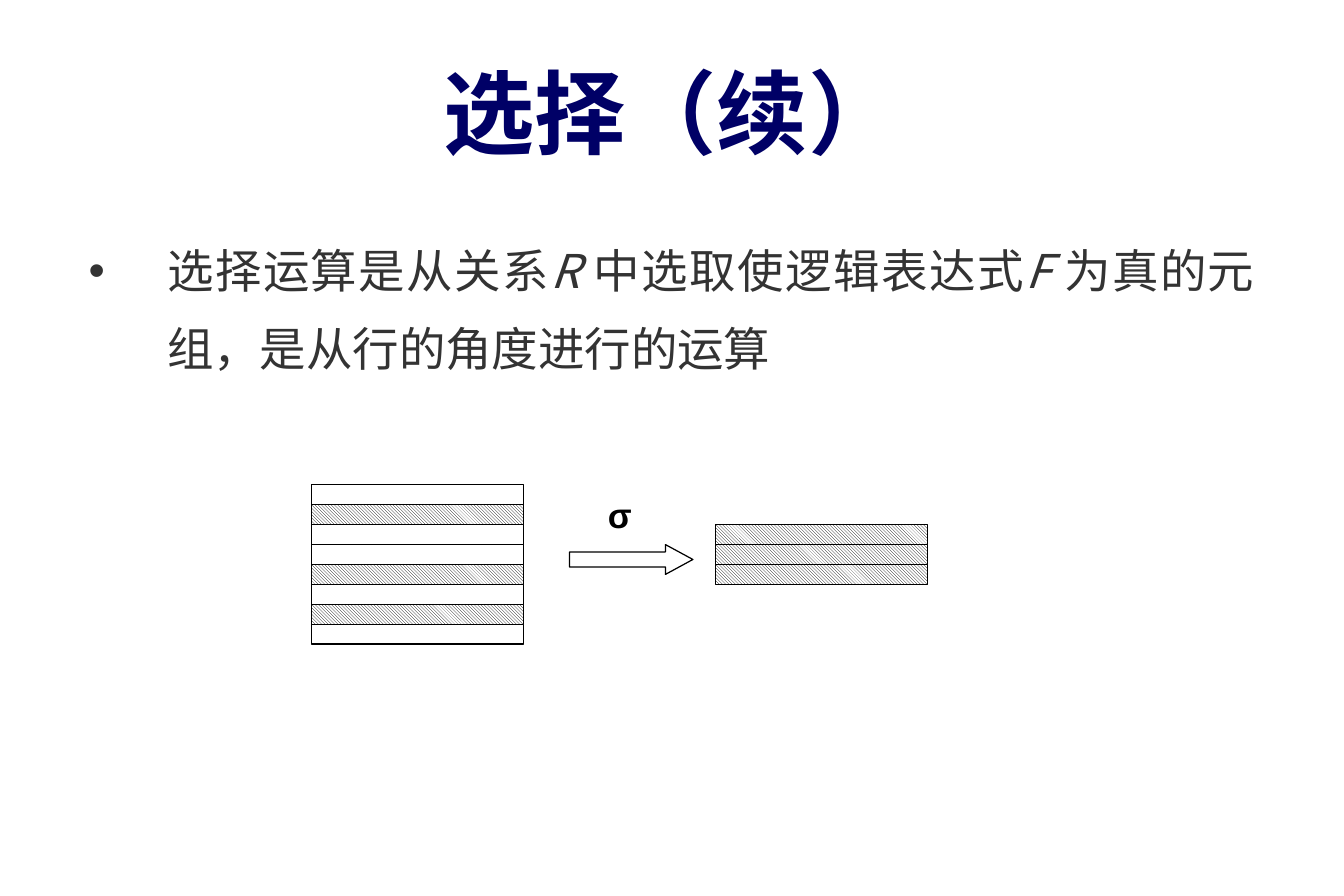
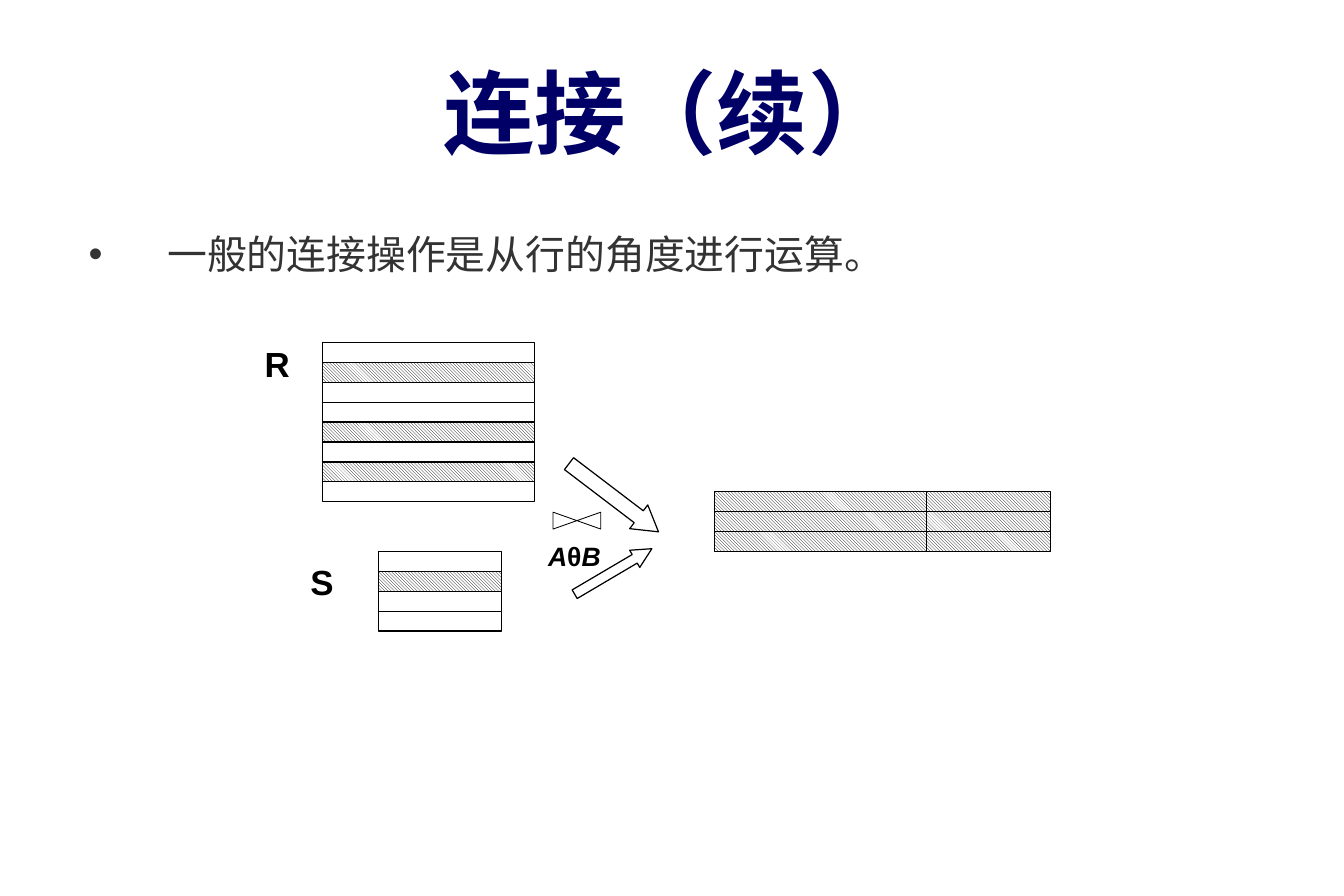
"""Builds two slides that picture the selection and join operations on relations."""
from lxml import etree
from pptx import Presentation
from pptx import util as u
from pptx.dml.color import RGBColor
from pptx.enum import dml, shapes, text
from pptx.oxml.ns import qn

PX = 7620
NAVY = RGBColor(0x00, 0x00, 0x66)
GREY = RGBColor(0x33, 0x33, 0x33)
BLACK = RGBColor(0, 0, 0)
WHITE = RGBColor(0xFF, 0xFF, 0xFF)
TITLE_FONT, BODY_FONT, LABEL_FONT = "Karla", "Noto Sans CJK SC", "Arial"
TITLE_BOX = (67, 36, 1215, 150)
BODY_BOX = (67, 210, 1215, 605)
BODY_INDENT = 79
ROW_HEIGHT = 20
WIDE, NARROW = 213, 124


def px(value):
    """Turn pixels into EMU."""
    return u.Emu(round(value * PX))


def add_text(slide, box, runs, font, size, color, bold=False, margins=(12, 6),
             anchor=text.MSO_ANCHOR.TOP, align=text.PP_ALIGN.CENTER):
    """Add a one-paragraph text box from (wording, italic) runs."""
    frame = slide.shapes.add_textbox(*map(px, box)).text_frame
    frame.word_wrap = True
    frame.vertical_anchor = anchor
    frame.margin_left = frame.margin_right = px(margins[0])
    frame.margin_top = frame.margin_bottom = px(margins[1])
    paragraph = frame.paragraphs[0]
    paragraph.alignment = align
    for wording, italic in runs:
        run = paragraph.add_run()
        run.text = wording
        run.font.name, run.font.size = font, u.Pt(size)
        run.font.bold, run.font.italic = bold, italic
        run.font.color.rgb = color
        east_asian = etree.SubElement(run.font._element, qn("a:ea"))
        east_asian.set("typeface", BODY_FONT)
    return paragraph


def add_title(slide, wording):
    """Add the centred slide title."""
    add_text(slide, TITLE_BOX, [(wording, False)], TITLE_FONT, 55, NAVY, bold=True,
             margins=(22, 11), anchor=text.MSO_ANCHOR.MIDDLE)


def add_bullet(slide, runs, size, line_spacing):
    """Add the justified body text with a hanging bullet."""
    paragraph = add_text(slide, BODY_BOX, runs, BODY_FONT, size, GREY,
                         margins=(22, 11), align=text.PP_ALIGN.JUSTIFY)
    paragraph.line_spacing = line_spacing
    paragraph.space_after = u.Pt(3.5)
    properties = paragraph._p.get_or_add_pPr()
    properties.set("marL", str(px(BODY_INDENT)))
    properties.set("indent", str(-px(BODY_INDENT)))
    etree.SubElement(properties, qn("a:buFont")).set("typeface", LABEL_FONT)
    etree.SubElement(properties, qn("a:buChar")).set("char", "•")


def add_label(slide, left, top, width, wording):
    """Add a bold label for a relation or operator."""
    add_text(slide, (left, top, width, 54), [(wording, False)], LABEL_FONT, 21, BLACK, bold=True)


def add_outlined(slide, kind, box, rotation=0, line_width=0.75):
    """Add a white preset shape with a black outline."""
    shape = slide.shapes.add_shape(kind, *map(px, box))
    shape.shadow.inherit = False
    shape.fill.solid()
    shape.fill.fore_color.rgb = WHITE
    shape.line.color.rgb = BLACK
    shape.line.width = u.Pt(line_width)
    shape.rotation = rotation
    return shape


def add_arrow(slide, box, head, rotation=0):
    """Add a block arrow with the given head length ratio."""
    arrow = add_outlined(slide, shapes.MSO_SHAPE.RIGHT_ARROW, box, rotation)
    arrow.adjustments[0] = 0.5
    arrow.adjustments[1] = head


def add_relation(slide, left, top, width, row_count, selected):
    """Stack the rows of a relation and hatch the selected ones."""
    for row in range(row_count):
        box = (left, top + row * ROW_HEIGHT, width, ROW_HEIGHT)
        shape = add_outlined(slide, shapes.MSO_SHAPE.RECTANGLE, box)
        if row in selected:
            shape.fill.patterned()
            shape.fill.pattern = dml.MSO_PATTERN.LIGHT_DOWNWARD_DIAGONAL
            shape.fill.fore_color.rgb = BLACK
            shape.fill.back_color.rgb = WHITE


def build_selection(slide):
    """Show selection as picking rows of one relation."""
    add_title(slide, "选择（续）")
    add_bullet(slide, [("选择运算是从关系", False), ("R ", True),
                       ("中选取使逻辑表达式", False), ("F ", True),
                       ("为真的元组，是从行的角度进行的运算", False)], 28, 1.4)
    add_relation(slide, 313, 487, WIDE, 8, {1, 4, 6})
    add_relation(slide, 719, 527, WIDE, 3, range(3))
    add_arrow(slide, (572, 547, 124, 30), 0.92)
    add_label(slide, 572, 490, 101, "σ")


def build_join(slide):
    """Show a join as combining rows of two relations."""
    add_title(slide, "连接（续）")
    add_bullet(slide, [("一般的连接操作是从行的角度进行运算。", False)], 24, 1.2)
    add_relation(slide, 324, 344, WIDE, 8, {1, 4, 6})
    add_relation(slide, 380, 554, NARROW, 4, {1})
    add_relation(slide, 718, 494, WIDE, 3, range(3))
    add_relation(slide, 718 + WIDE, 494, NARROW, 3, range(3))
    add_arrow(slide, (560, 485, 113, 30), 0.83, 37.3)
    add_outlined(slide, shapes.MSO_SHAPE.FLOWCHART_COLLATE, (571, 499, 17, 48), 90, 0.5)
    add_text(slide, (510, 513, 134, 90), [("A", True), ("θ", False), ("B", True)],
             LABEL_FONT, 16, BLACK, bold=True, anchor=text.MSO_ANCHOR.MIDDLE)
    add_arrow(slide, (571, 564, 90, 20), 1, 329.5)
    add_label(slide, 245, 338, 67, "R")
    add_label(slide, 290, 557, 67, "S")


def main():
    """Build and save the presentation."""
    presentation = Presentation()
    presentation.slide_width, presentation.slide_height = px(1350), px(900)
    for build in (build_selection, build_join):
        build(presentation.slides.add_slide(presentation.slide_layouts[6]))
    presentation.save("out.pptx")


if __name__ == "__main__":
    main()
